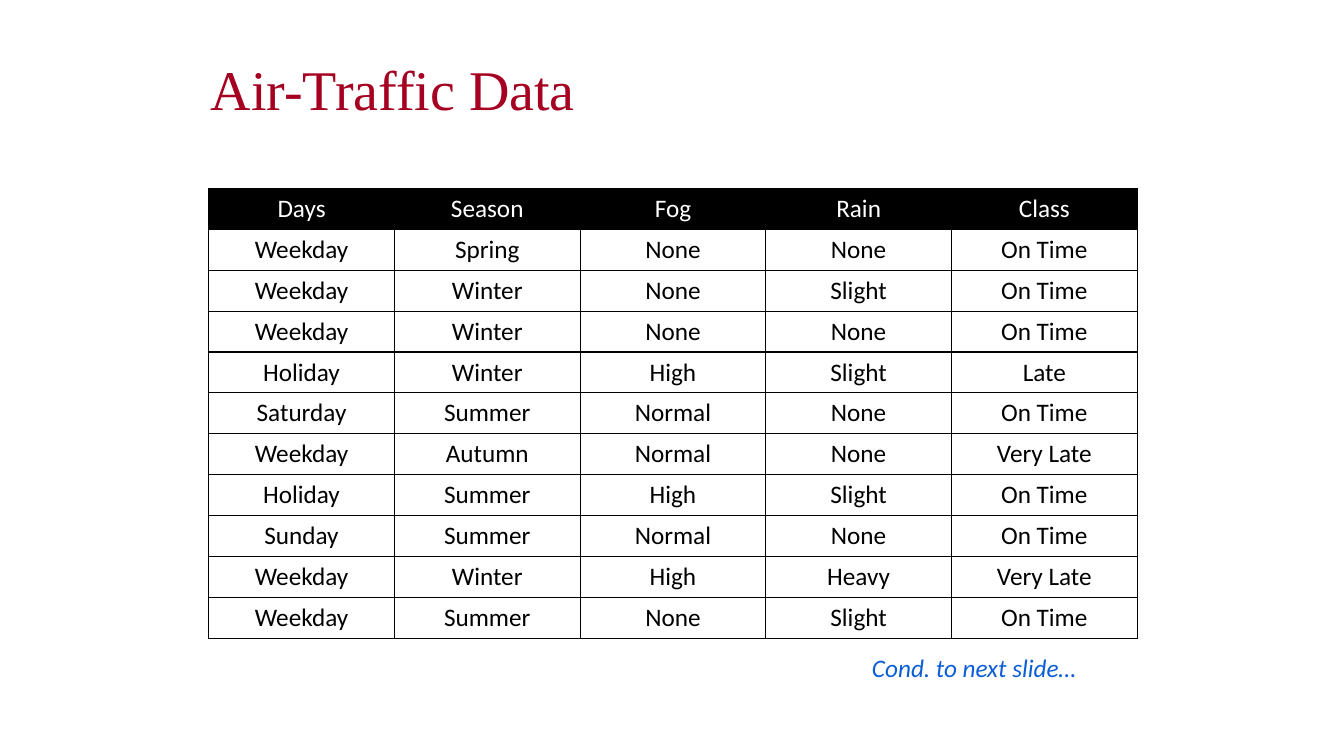
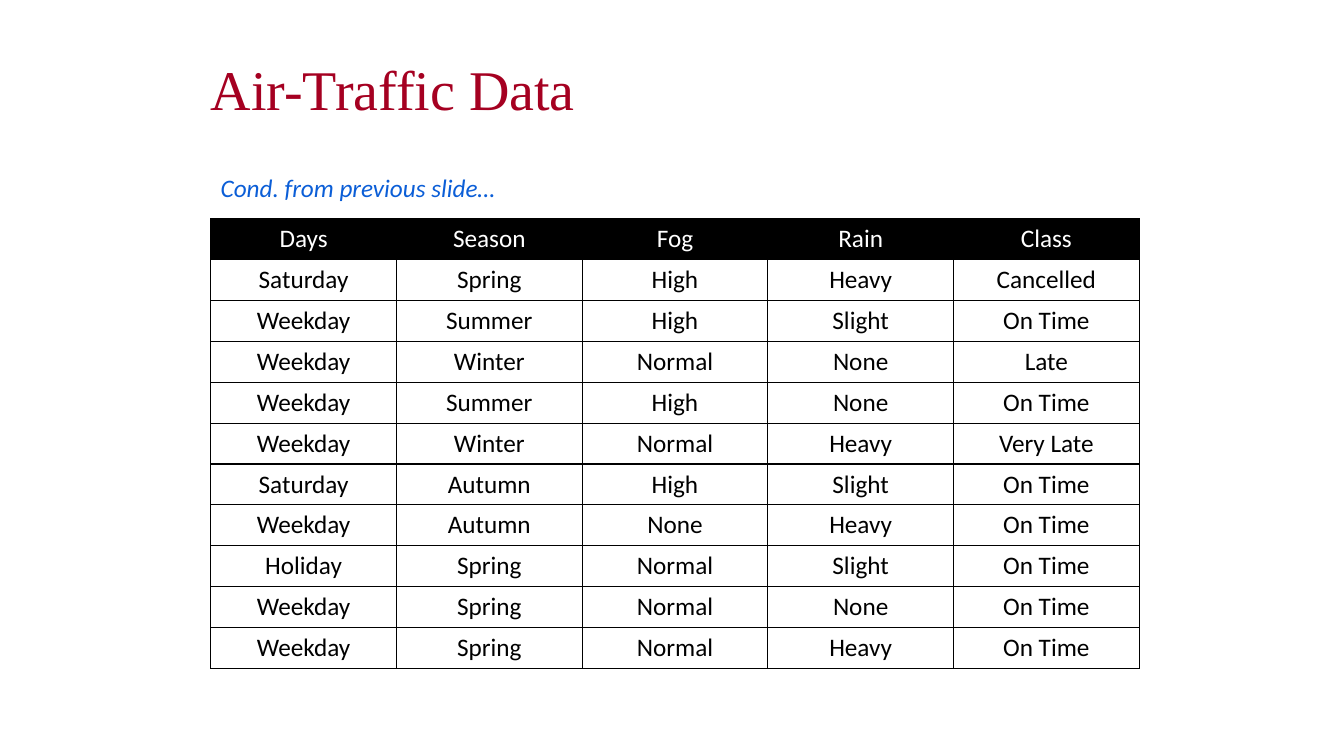
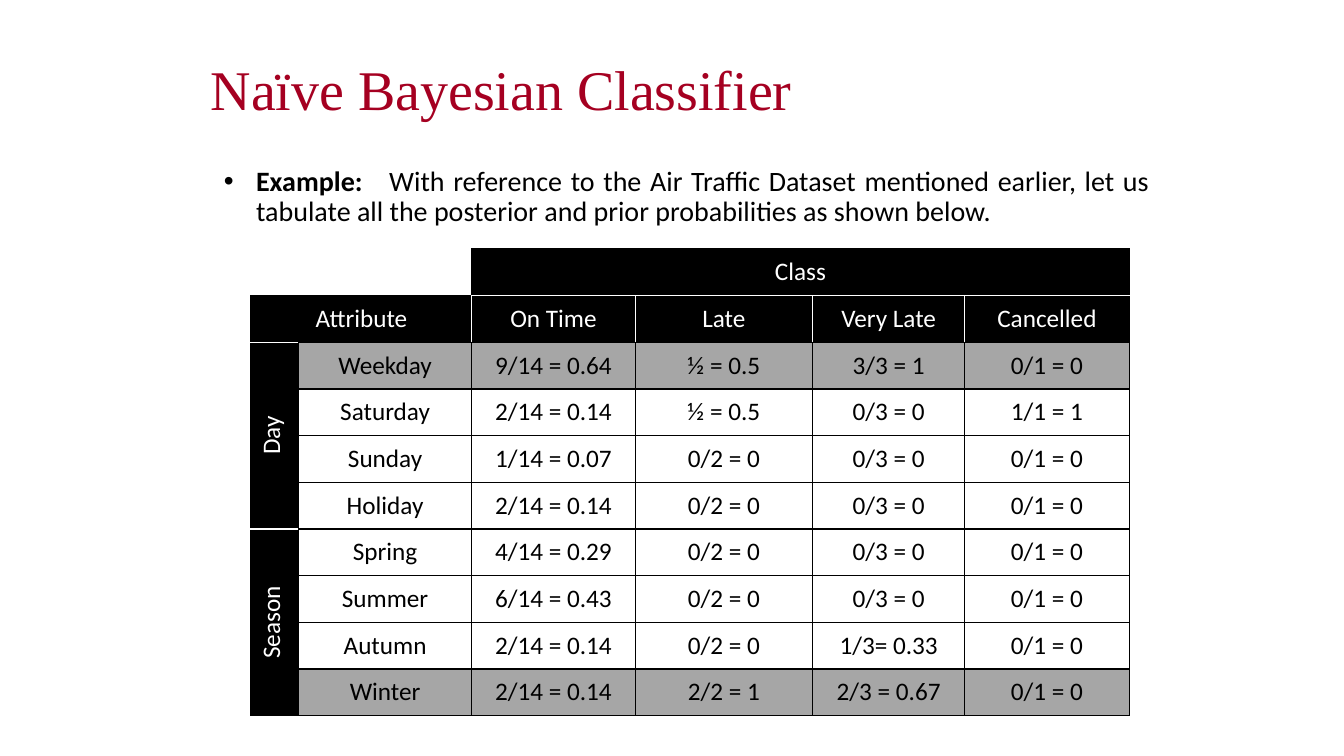
"""Build three slides on air-traffic data and naïve Bayesian class probabilities."""

from dataclasses import dataclass

from lxml.etree import SubElement
from pptx import Presentation
from pptx.dml.color import RGBColor
from pptx.enum.text import MSO_ANCHOR, MSO_AUTO_SIZE, PP_ALIGN
from pptx.oxml.ns import qn
from pptx.slide import Slide
from pptx.table import Table
from pptx.text.text import Font
from pptx.util import Inches, Pt

BLACK = RGBColor(0x00, 0x00, 0x00)
WHITE = RGBColor(0xFF, 0xFF, 0xFF)
GREY = RGBColor(0xA6, 0xA6, 0xA6)
CRIMSON = RGBColor(0xA5, 0x00, 0x21)
BLUE = RGBColor(0x0B, 0x5E, 0xD7)

HEADING_FONT = "Times New Roman"
TEXT_FONT = "Calibri"
TITLE_ONLY, TITLE_AND_CONTENT = 5, 1

FLIGHT_HEADER = ("Days", "Season", "Fog", "Rain", "Class")


@dataclass(frozen=True)
class Box:
    """Place and size in inches."""

    left: float
    top: float
    width: float
    height: float

    def lengths(self) -> tuple[int, int, int, int]:
        """Return the four measures as lengths."""
        return (Inches(self.left), Inches(self.top),
                Inches(self.width), Inches(self.height))


@dataclass(frozen=True)
class Grid:
    """A table with header rows, header columns and merged cells."""

    box: Box
    rows: tuple[tuple[str, ...], ...]
    header_rows: int = 1
    header_columns: int = 0
    header_line: RGBColor = BLACK
    blank_corner: int = 0
    shaded_rows: tuple[int, ...] = ()
    column_widths: tuple[float, ...] = ()
    merges: tuple[tuple[int, int, int, int], ...] = ()

    def is_blank(self, row: int, column: int) -> bool:
        """Tell whether the cell lies in the empty corner."""
        return row == 0 and column < self.blank_corner

    def is_header(self, row: int, column: int) -> bool:
        """Tell whether the place holds a header cell of the table."""
        inside = 0 <= row < len(self.rows) and 0 <= column < len(self.rows[0])
        in_band = row < self.header_rows or column < self.header_columns
        return inside and in_band and not self.is_blank(row, column)


@dataclass(frozen=True)
class FlightPage:
    """One part of the flight records, with its continuation note."""

    records: tuple[tuple[str, ...], ...]
    table_box: Box
    note: str
    note_box: Box


TITLE_BOX = Box(1.99, 0.29, 9.21, 1.25)
EXAMPLE_BOX = Box(2.06, 1.61, 9.44, 5.17)

FLIGHT_PAGES = (
    FlightPage(
        (
            ("Weekday", "Spring", "None", "None", "On Time"),
            ("Weekday", "Winter", "None", "Slight", "On Time"),
            ("Weekday", "Winter", "None", "None", "On Time"),
            ("Holiday", "Winter", "High", "Slight", "Late"),
            ("Saturday", "Summer", "Normal", "None", "On Time"),
            ("Weekday", "Autumn", "Normal", "None", "Very Late"),
            ("Holiday", "Summer", "High", "Slight", "On Time"),
            ("Sunday", "Summer", "Normal", "None", "On Time"),
            ("Weekday", "Winter", "High", "Heavy", "Very Late"),
            ("Weekday", "Summer", "None", "Slight", "On Time"),
        ),
        Box(2.07, 1.87, 9.21, 4.46),
        "Cond. to next slide…",
        Box(8.55, 6.42, 2.25, 0.4),
    ),
    FlightPage(
        (
            ("Saturday", "Spring", "High", "Heavy", "Cancelled"),
            ("Weekday", "Summer", "High", "Slight", "On Time"),
            ("Weekday", "Winter", "Normal", "None", "Late"),
            ("Weekday", "Summer", "High", "None", "On Time"),
            ("Weekday", "Winter", "Normal", "Heavy", "Very Late"),
            ("Saturday", "Autumn", "High", "Slight", "On Time"),
            ("Weekday", "Autumn", "None", "Heavy", "On Time"),
            ("Holiday", "Spring", "Normal", "Slight", "On Time"),
            ("Weekday", "Spring", "Normal", "None", "On Time"),
            ("Weekday", "Spring", "Normal", "Heavy", "On Time"),
        ),
        Box(2.09, 2.17, 9.21, 4.46),
        "Cond. from previous slide…",
        Box(2.09, 1.66, 2.95, 0.4),
    ),
)

PROBABILITIES = Grid(
    Box(2.49, 2.47, 8.72, 4.63),
    (
        ("", "", "Class", "", "", ""),
        ("Attribute", "", "On Time", "Late", "Very Late", "Cancelled"),
        ("Day", "Weekday", "9/14 = 0.64", "½ = 0.5", "3/3 = 1", "0/1 = 0"),
        ("", "Saturday", "2/14 = 0.14", "½ = 0.5", "0/3 = 0", "1/1 = 1"),
        ("", "Sunday", "1/14 = 0.07", "0/2 = 0", "0/3 = 0", "0/1 = 0"),
        ("", "Holiday", "2/14 = 0.14", "0/2 = 0", "0/3 = 0", "0/1 = 0"),
        ("Season", "Spring", "4/14 = 0.29", "0/2 = 0", "0/3 = 0", "0/1 = 0"),
        ("", "Summer", "6/14 = 0.43", "0/2 = 0", "0/3 = 0", "0/1 = 0"),
        ("", "Autumn", "2/14 = 0.14", "0/2 = 0", "1/3= 0.33", "0/1 = 0"),
        ("", "Winter", "2/14 = 0.14", "2/2 = 1", "2/3 = 0.67", "0/1 = 0"),
    ),
    header_rows=2,
    header_columns=1,
    header_line=WHITE,
    blank_corner=2,
    shaded_rows=(2, 9),
    column_widths=(0.47, 1.72, 1.62, 1.76, 1.51, 1.63),
    merges=((0, 0, 0, 1), (0, 2, 0, 5), (1, 0, 1, 1), (2, 0, 5, 0), (6, 0, 9, 0)),
)


def set_font(font: Font, name: str, size: int, color: RGBColor) -> None:
    """Set typeface, size in points and colour."""
    font.name = name
    font.size = Pt(size)
    font.color.rgb = color


def add_titled_slide(deck: Presentation, layout: int, title: str) -> Slide:
    """Add a slide with the shared title style."""
    slide = deck.slides.add_slide(deck.slide_layouts[layout])
    heading = slide.shapes.title
    heading.left, heading.top, heading.width, heading.height = TITLE_BOX.lengths()
    frame = heading.text_frame
    frame.text = title
    frame.auto_size = MSO_AUTO_SIZE.NONE
    frame.vertical_anchor = MSO_ANCHOR.MIDDLE
    paragraph = frame.paragraphs[0]
    paragraph.alignment = PP_ALIGN.LEFT
    paragraph.line_spacing = 0.9
    set_font(paragraph.font, HEADING_FONT, 40, CRIMSON)
    return slide


def style_cell(table: Table, grid: Grid, row: int, column: int) -> None:
    """Fill in one cell and draw its borders."""
    cell = table.cell(row, column)
    cell.text = grid.rows[row][column]
    cell.vertical_anchor = MSO_ANCHOR.MIDDLE
    header = grid.is_header(row, column)
    paragraph = cell.text_frame.paragraphs[0]
    paragraph.alignment = PP_ALIGN.CENTER
    set_font(paragraph.font, TEXT_FONT, 18, WHITE if header else BLACK)
    paragraph.font.bold = False

    properties = cell._tc.get_or_add_tcPr()
    if header and row >= grid.header_rows:
        properties.set("vert", "vert270")
    neighbours = {
        "a:lnL": (row, column - 1),
        "a:lnR": (row, column + cell.span_width),
        "a:lnT": (row - 1, column),
        "a:lnB": (row + cell.span_height, column),
    }
    for edge, neighbour in neighbours.items():
        if grid.is_blank(row, column) and edge in ("a:lnL", "a:lnT"):
            continue
        between_headers = header and grid.is_header(*neighbour)
        color = grid.header_line if between_headers else BLACK
        line = SubElement(properties, qn(edge), w=str(Pt(1)))
        fill = SubElement(line, qn("a:solidFill"))
        SubElement(fill, qn("a:srgbClr"), val=str(color))

    if header or row in grid.shaded_rows:
        cell.fill.solid()
        cell.fill.fore_color.rgb = BLACK if header else GREY
    else:
        cell.fill.background()


def add_grid(slide: Slide, grid: Grid) -> None:
    """Add a table drawn from its grid."""
    row_count, column_count = len(grid.rows), len(grid.rows[0])
    table = slide.shapes.add_table(row_count, column_count, *grid.box.lengths()).table
    table.horz_banding = False
    for column, width in zip(table.columns, grid.column_widths):
        column.width = Inches(width)
    for top, left, bottom, right in grid.merges:
        table.cell(top, left).merge(table.cell(bottom, right))
    for row in range(row_count):
        for column in range(column_count):
            if table.cell(row, column).is_spanned:
                table.cell(row, column).fill.background()
            else:
                style_cell(table, grid, row, column)


def add_note(slide: Slide, text: str, box: Box) -> None:
    """Add a continuation note in blue italics."""
    frame = slide.shapes.add_textbox(*box.lengths()).text_frame
    frame.text = text
    frame.word_wrap = False
    frame.auto_size = MSO_AUTO_SIZE.SHAPE_TO_FIT_TEXT
    font = frame.paragraphs[0].font
    set_font(font, TEXT_FONT, 18, BLUE)
    font.italic = True


def add_example(slide: Slide) -> None:
    """Write the example bullet in the body placeholder."""
    body = slide.placeholders[1]
    body.left, body.top, body.width, body.height = EXAMPLE_BOX.lengths()
    body.text_frame.auto_size = MSO_AUTO_SIZE.NONE
    paragraph = body.text_frame.paragraphs[0]
    paragraph.alignment = PP_ALIGN.JUSTIFY
    paragraph.line_spacing = 0.9
    paragraph.space_before = Pt(0)
    properties = paragraph._p.get_or_add_pPr()
    properties.set("marL", str(Inches(0.38)))
    properties.set("indent", str(Inches(-0.32)))
    SubElement(properties, qn("a:buChar"), char="•")
    tabs = SubElement(properties, qn("a:tabLst"))
    SubElement(tabs, qn("a:tab"), pos=str(Inches(1.7)), algn="l")
    set_font(paragraph.font, TEXT_FONT, 20, BLACK)
    label = paragraph.add_run()
    label.text = "Example:\t"
    label.font.bold = True
    paragraph.add_run().text = (
        "With reference to the Air Traffic Dataset mentioned earlier, let us "
        "tabulate all the posterior and prior probabilities as shown below."
    )


def main() -> None:
    """Build and save the deck."""
    deck = Presentation()
    deck.slide_width, deck.slide_height = Inches(13.33), Inches(7.5)
    for page in FLIGHT_PAGES:
        slide = add_titled_slide(deck, TITLE_ONLY, "Air-Traffic Data")
        add_grid(slide, Grid(page.table_box, (FLIGHT_HEADER, *page.records)))
        add_note(slide, page.note, page.note_box)
    slide = add_titled_slide(deck, TITLE_AND_CONTENT, "Naïve Bayesian Classifier")
    add_example(slide)
    add_grid(slide, PROBABILITIES)
    deck.save("out.pptx")


if __name__ == "__main__":
    main()
